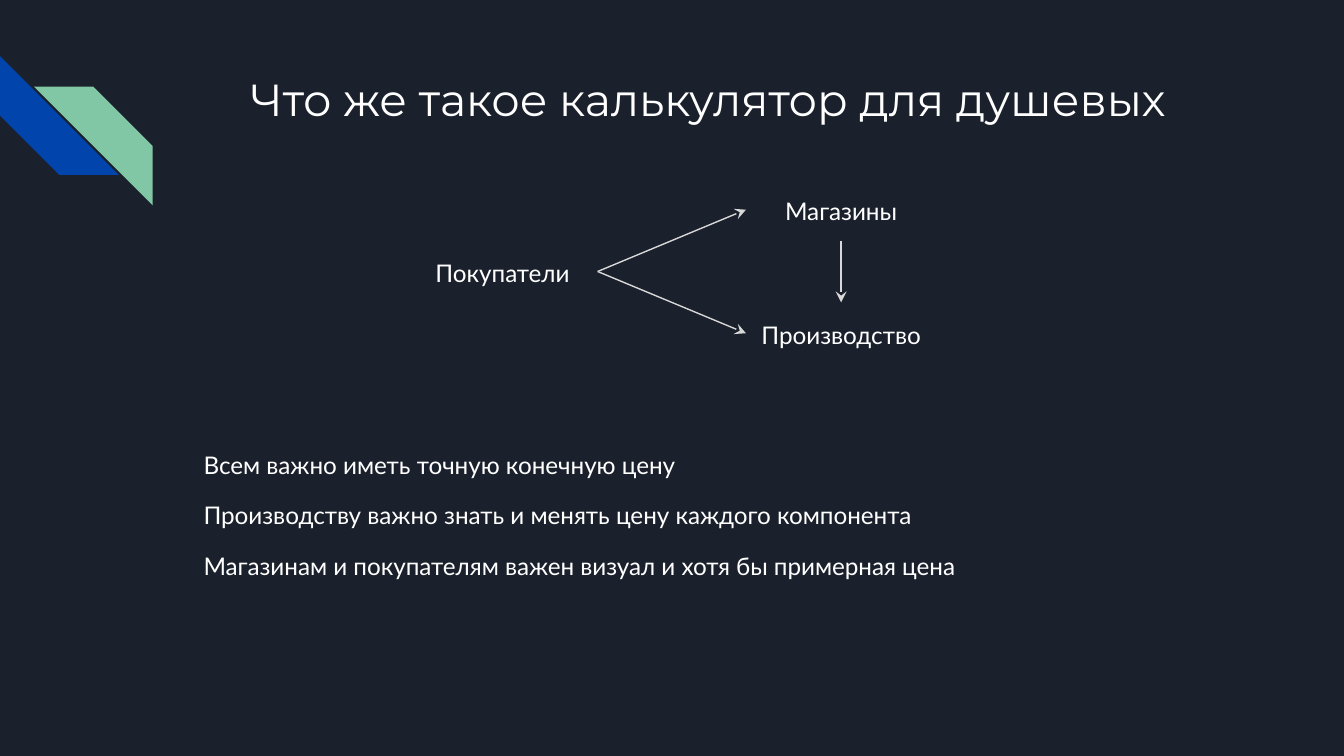
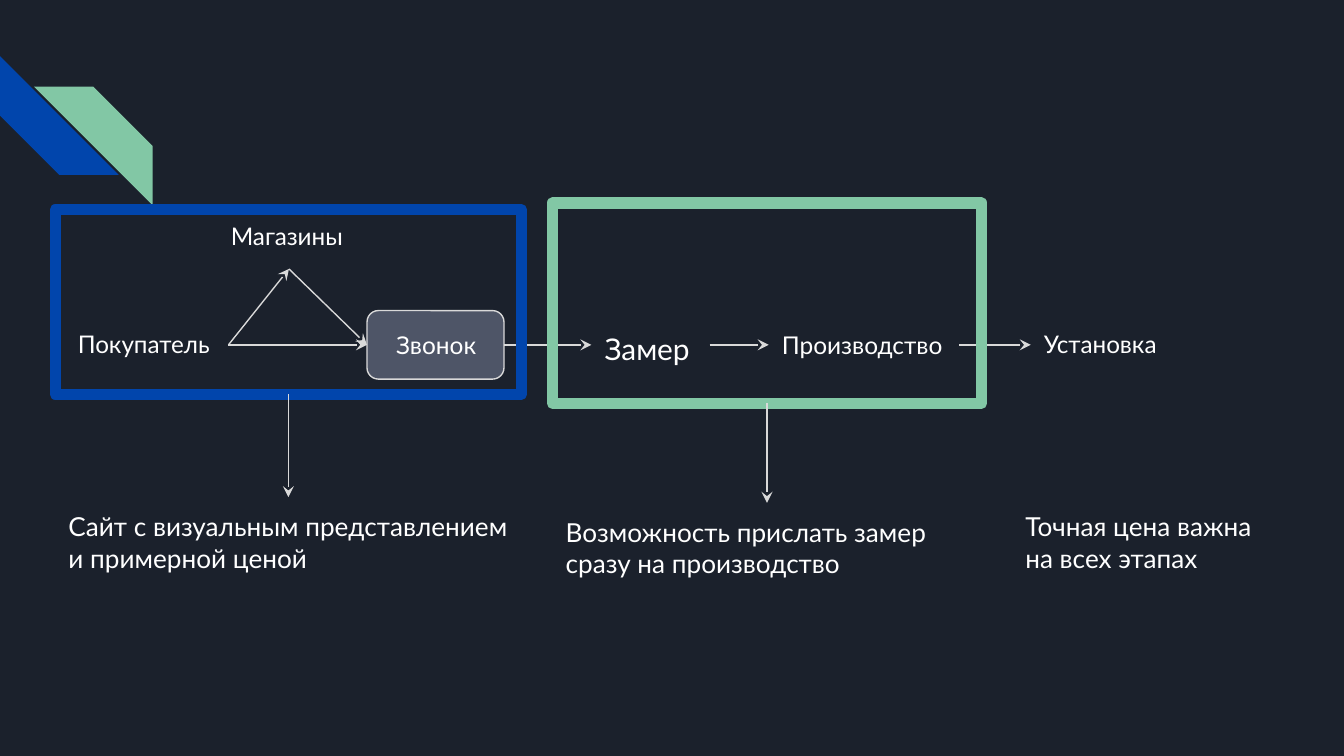
from lxml import etree
from pptx import Presentation
from pptx.dml.color import RGBColor
from pptx.enum import shapes, text
from pptx.oxml import ns
from pptx.util import Pt

COLORS = {
    "background": "1B212C",
    "text": "FFFFFF",
    "line": "D9D9D9",
    "blue": "0145AC",
    "green": "82C7A5",
    "call": "4E5567",
}
TITLE_FONT, BODY_FONT = "Montserrat", "Lato"
INSET = 7.2
TOP, LEFT, BOTTOM, RIGHT = range(4)


def rgb(name):
    return RGBColor.from_string(COLORS[name])


def add_text(slide, box, paragraphs, size=13, font=BODY_FONT, align=text.PP_ALIGN.LEFT,
             spacing=1.0, before=0, after=0):
    """Put one run per paragraph into a wrapped text box; before skips the first paragraph."""
    sp = slide.shapes.add_textbox(*map(Pt, box))
    tf = sp.text_frame
    tf.word_wrap = True
    tf.vertical_anchor = text.MSO_ANCHOR.TOP
    tf.margin_left = tf.margin_right = tf.margin_top = tf.margin_bottom = Pt(INSET)
    for i, words in enumerate(paragraphs):
        p = tf.add_paragraph() if i else tf.paragraphs[0]
        p.alignment = align
        p.line_spacing = spacing
        p.space_before = Pt(before if i else 0)
        p.space_after = Pt(after)
        r = p.add_run()
        r.text = words
        r.font.size = Pt(size)
        r.font.name = font
        r.font.color.rgb = rgb("text")
    return sp


def add_label(slide, box, word, size=13, align=text.PP_ALIGN.LEFT):
    return add_text(slide, box, [word], size, align=align, spacing=1.15, after=12)


def add_box(slide, kind, box, fill=None, line=None, width=0.75):
    sp = slide.shapes.add_shape(kind, *map(Pt, box))
    sp.shadow.inherit = False
    if fill:
        sp.fill.solid()
        sp.fill.fore_color.rgb = rgb(fill)
    else:
        sp.fill.background()
    if line:
        sp.line.color.rgb = rgb(line)
        sp.line.width = Pt(width)
        etree.SubElement(sp.line._get_or_add_ln(), ns.qn("a:round"))
    else:
        sp.line.fill.background()
    return sp


def add_arrow(slide, start, start_side, end, end_side):
    """Join two shapes side to side; an end may also be a point, with side None."""
    cxn = slide.shapes.add_connector(shapes.MSO_CONNECTOR.STRAIGHT, 0, 0, 0, 0)
    if start_side is None:
        cxn.begin_x, cxn.begin_y = start
    else:
        cxn.begin_connect(start, start_side)
    if end_side is None:
        cxn.end_x, cxn.end_y = end
    else:
        cxn.end_connect(end, end_side)
    cxn.line.color.rgb = rgb("line")
    cxn.line.width = Pt(0.75)
    etree.SubElement(cxn.line._get_or_add_ln(), ns.qn("a:tailEnd"), type="stealth")
    etree.SubElement(cxn._element.spPr, ns.qn("a:effectLst"))


def add_stripes(slide, box):
    """Draw the blue and green corner stripes."""
    x, y, side = box
    stripe = shapes.MSO_SHAPE.DIAGONAL_STRIPE
    blue = add_box(slide, stripe, (x, y, side, side), "blue")
    blue.rotation = 270
    green = add_box(slide, stripe, (x + 18.2, y + 16.3, side, side), "green")
    green._element.spPr.get_or_add_xfrm().set("flipH", "1")


def new_slide(prs):
    slide = prs.slides.add_slide(prs.slide_layouts[6])
    add_stripes(slide, (0, 30.1, 63.6))
    return slide


def add_audience(slide, box):
    """Link the buyers on the left to the shops and the factory on the right."""
    x, y, w, h = box
    node_w, node_h = 102, h / 3
    right = x + w - node_w

    def node(left, row, word):
        return add_label(slide, (left, y + row * node_h, node_w, node_h), word,
                         align=text.PP_ALIGN.CENTER)

    shops = node(right, 0, "Магазины")
    buyers = node(x, 1, "Покупатели")
    factory = node(right, 2, "Производство")
    add_arrow(slide, buyers, RIGHT, factory, LEFT)
    add_arrow(slide, buyers, RIGHT, shops, LEFT)
    add_arrow(slide, shops, BOTTOM, factory, TOP)


def add_order_flow(slide, box):
    """Lay the order steps along one row, with the shops above its start."""
    x, y, row_h = box
    row_y = y + 58.3

    def step(left, width, word, size=13):
        return add_label(slide, (x + left, row_y, width, row_h), word, size)

    shops = add_label(slide, (x + 82, y, 76.4, row_h), "Магазины")
    buyer = step(0, 87.8, "Покупатель")
    call = add_box(slide, shapes.MSO_SHAPE.ROUNDED_RECTANGLE,
                   (x + 162, row_y - 0.7, 73.4, row_h + 1.4), "call", "line")
    step(170.6, 58.4, "Звонок", 13.1)
    measuring = step(282.2, 63.4, "Замер", 16)
    factory = step(377.2, 102.2, "Производство", 13.1)
    fitting = step(517.6, 76.4, "Установка")

    add_arrow(slide, buyer, RIGHT, shops, BOTTOM)
    add_arrow(slide, shops, BOTTOM, call, LEFT)
    chain = [buyer, call, measuring, factory, fitting]
    for start, end in zip(chain, chain[1:]):
        add_arrow(slide, start, RIGHT, end, LEFT)


def add_stage(slide, box, color, caption_y, caption):
    """Frame a group of steps and point from it to its caption."""
    x, y, w, h = box
    frame = add_box(slide, shapes.MSO_SHAPE.RECTANGLE, box, line=color, width=6)
    note = add_caption(slide, (x, caption_y, w), caption)
    add_arrow(slide, frame, BOTTOM, note, TOP)


def add_caption(slide, box, caption):
    return add_text(slide, (*box, 48.2), [caption], 14)


def build_audience_slide(prs):
    slide = new_slide(prs)
    add_text(slide, (102, 31, 554.4, 72), ["Что же такое калькулятор для душевых"],
             24, TITLE_FONT, text.PP_ALIGN.CENTER)
    add_audience(slide, (218.2, 95.8, 283.4, 99.3))
    add_text(slide, (102, 235.4, 554.4, 111), [
        "Всем важно иметь точную конечную цену",
        "Производству важно знать и менять цену каждого компонента",
        "Магазинам и покупателям важен визуал и хотя бы примерная цена",
    ], spacing=0.95, before=12)


def build_flow_slide(prs):
    slide = new_slide(prs)
    add_order_flow(slide, (34.6, 108.8, 35.3))
    add_stage(slide, (29.6, 112.4, 249.8, 98.8), "blue", 266.4,
              "Сайт с визуальным представлением и примерной ценой")
    add_stage(slide, (296, 108.7, 229.8, 107.4), "green", 269.4,
              "Возможность прислать замер сразу на производство")
    add_caption(slide, (542.2, 266.4, 144), "Точная цена важна на всех этапах")


def main():
    prs = Presentation()
    prs.slide_width, prs.slide_height = Pt(720), Pt(405)
    fill = prs.slide_master.background.fill
    fill.solid()
    fill.fore_color.rgb = rgb("background")
    build_audience_slide(prs)
    build_flow_slide(prs)
    prs.save("out.pptx")


if __name__ == "__main__":
    main()
